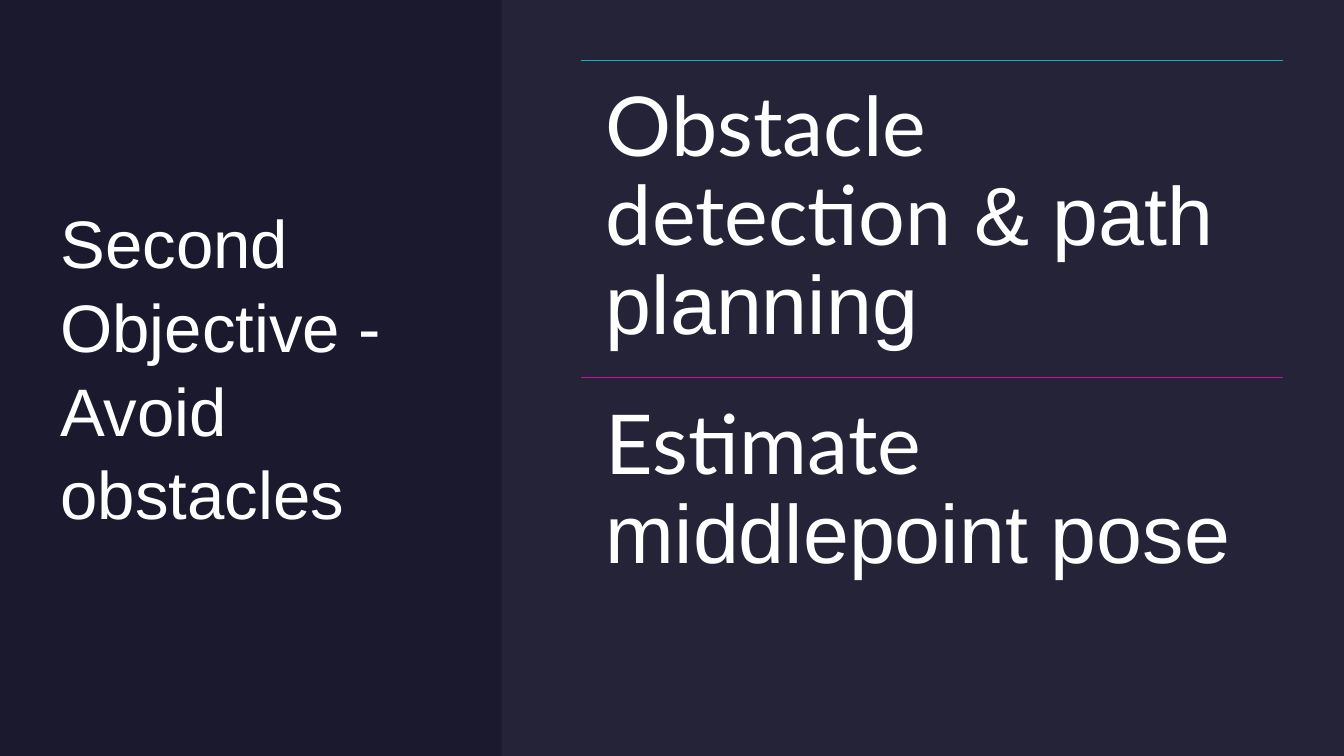
"""Build the slide on the second objective, avoiding obstacles."""
import pptx
import pptx.dml.color
import pptx.enum.shapes
import pptx.enum.text
import pptx.oxml.ns
import pptx.util
from lxml import etree
from pptx.util import Cm, Pt

TITLE = "Second Objective - Avoid obstacles"
STEPS = [
    ("12B1BF", [("Obstacle detection", "Lato"), (" & path planning", "Arial")]),
    ("D40AA8", [("Estimate ", "Lato"), ("middlepoint pose", "Arial")]),
]
BACKGROUND, PANEL, WHITE = "1B192E", "E4E3F0", "FFFFFF"
WIDTH, HEIGHT = Cm(33.87), Cm(19.05)
MARGIN = Cm(1.52)
PANEL_LEFT = Cm(12.64)
STEP_LEFT, STEP_WIDTH, STEP_HEIGHT = Cm(14.64), Cm(17.7), Cm(8)


def rgb(value):
    return pptx.dml.color.RGBColor.from_string(value)


def add_run(p, text, font, size):
    r = p.add_run()
    r.text = text
    r.font.name = font
    r.font.size = Pt(size)
    r.font.color.rgb = rgb(WHITE)


def set_insets(tf, inset):
    tf.margin_left = tf.margin_right = tf.margin_top = tf.margin_bottom = inset
    tf.word_wrap = True
    tf.auto_size = pptx.enum.text.MSO_AUTO_SIZE.NONE


def add_title(s):
    sp = s.shapes.title
    sp.left, sp.top, sp.width, sp.height = MARGIN, MARGIN, Cm(9.91), Cm(15.39)
    tf = sp.text_frame
    set_insets(tf, 0)
    tf.vertical_anchor = pptx.enum.text.MSO_ANCHOR.MIDDLE
    p = tf.paragraphs[0]
    p.alignment = pptx.enum.text.PP_ALIGN.LEFT
    p.line_spacing = 1.04
    add_run(p, TITLE, "Arial", 48)


def add_panel(s):
    sp = s.shapes.add_shape(pptx.enum.shapes.MSO_SHAPE.RECTANGLE,
                            PANEL_LEFT, 0, WIDTH - PANEL_LEFT, HEIGHT)
    sp.shadow.inherit = False
    sp.line.fill.background()
    sp.fill.solid()
    sp.fill.fore_color.rgb = rgb(PANEL)
    color = sp.fill._xPr.find(".//" + pptx.oxml.ns.qn("a:srgbClr"))
    etree.SubElement(color, pptx.oxml.ns.qn("a:alpha"), val="5000")


def add_step(s, top, color, runs):
    line = s.shapes.add_connector(pptx.enum.shapes.MSO_CONNECTOR.STRAIGHT,
                                  STEP_LEFT, top, STEP_LEFT + STEP_WIDTH, top)
    line.line.color.rgb = rgb(color)
    line.line.width = Pt(1)
    etree.SubElement(line._element.spPr, pptx.oxml.ns.qn("a:effectLst"))
    tf = s.shapes.add_textbox(STEP_LEFT, top, STEP_WIDTH, STEP_HEIGHT).text_frame
    set_insets(tf, Cm(0.63))
    p = tf.paragraphs[0]
    p.line_spacing = 0.9
    for text, font in runs:
        add_run(p, text, font, 59)


def main():
    prs = pptx.Presentation()
    prs.slide_width, prs.slide_height = WIDTH, HEIGHT
    s = prs.slides.add_slide(prs.slide_layouts.get_by_name("Title Only"))
    s.background.fill.solid()
    s.background.fill.fore_color.rgb = rgb(BACKGROUND)
    add_title(s)
    add_panel(s)
    for i, (color, runs) in enumerate(STEPS):
        add_step(s, MARGIN + i * STEP_HEIGHT, color, runs)
    prs.save("out.pptx")


if __name__ == "__main__":
    main()
